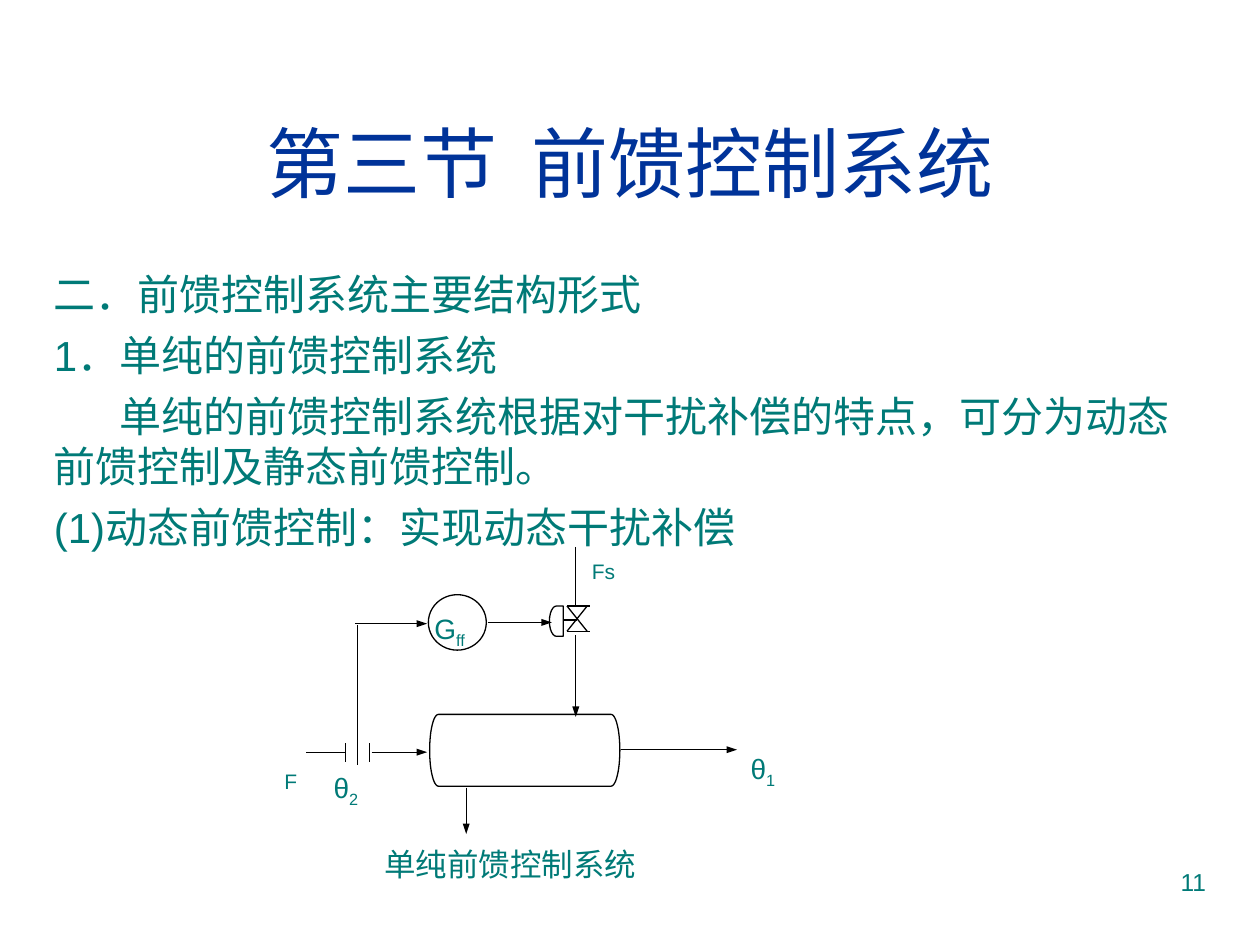
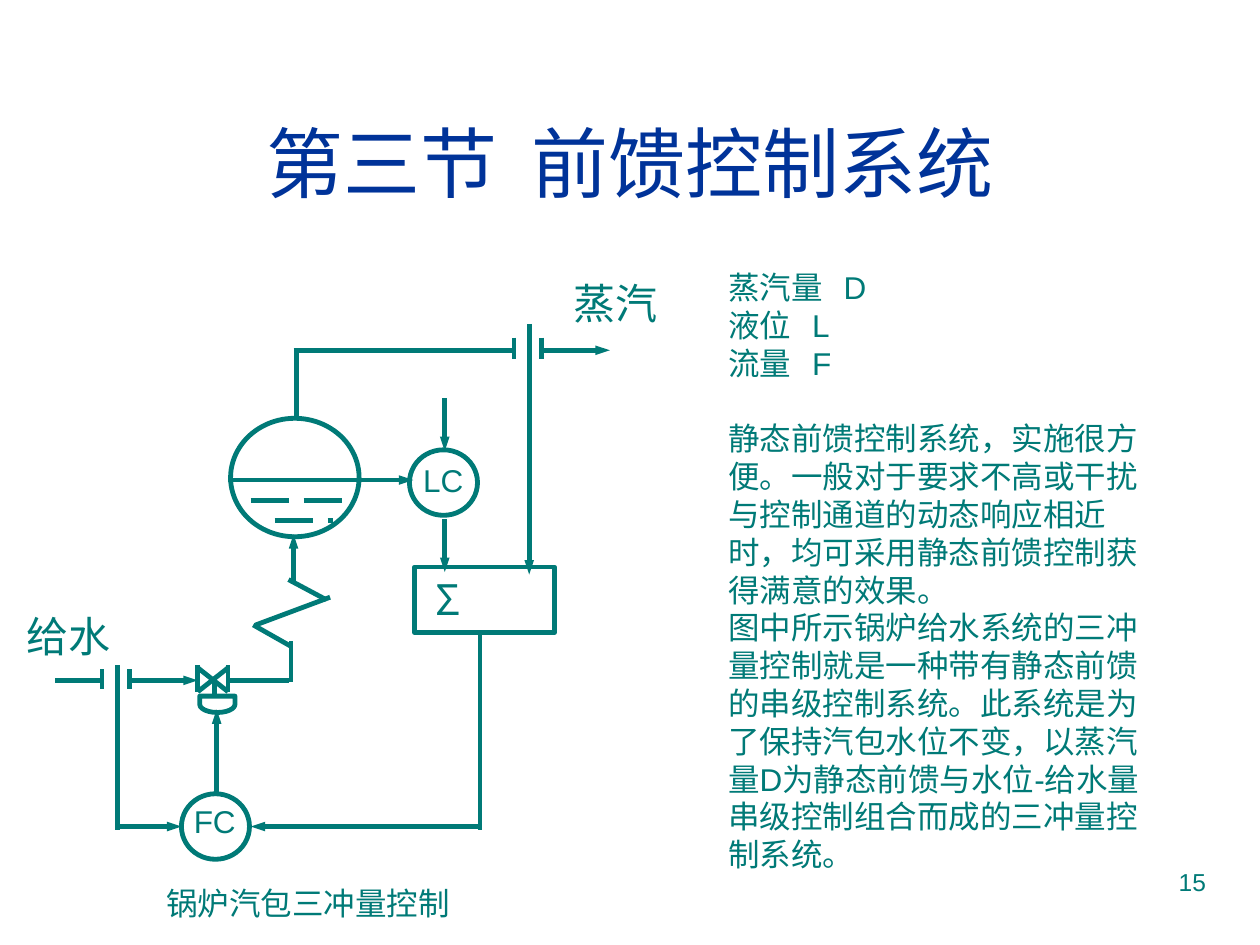
from dataclasses import dataclass
from math import cos, pi, sin
from typing import NamedTuple

from lxml import etree
from pptx import Presentation
from pptx.dml.color import RGBColor
from pptx.enum.dml import MSO_LINE
from pptx.enum.shapes import MSO_CONNECTOR, MSO_SHAPE
from pptx.enum.text import MSO_ANCHOR, PP_ALIGN
from pptx.oxml.ns import qn
from pptx.util import Inches, Pt

LEFT, CENTER, RIGHT = PP_ALIGN.LEFT, PP_ALIGN.CENTER, PP_ALIGN.RIGHT
TOP, MIDDLE = MSO_ANCHOR.TOP, MSO_ANCHOR.MIDDLE
STRAIGHT = MSO_CONNECTOR.STRAIGHT
ELLIPSE, DELAY, RECT = MSO_SHAPE.OVAL, MSO_SHAPE.FLOWCHART_DELAY, MSO_SHAPE.RECTANGLE
LONG_DASH = MSO_LINE.LONG_DASH

TEAL, NAVY, BLACK, WHITE = "007A77", "003399", "000000", "FFFFFF"
FONT, SYMBOL_FONT = "Arial", "Noto Sans CJK SC"
LINE_HEIGHT = 1.2


class Run(NamedTuple):
    text: str
    sub: bool = False
    spread: float = 0  # extra character spacing in points


class Para(NamedTuple):
    runs: list[Run]
    before: float = 0
    indent: float = 0


@dataclass
class Label:
    x: float
    y: float
    w: float
    h: float
    paras: list[Para]
    size: float = 18
    color: str = TEAL
    align: int = LEFT
    anchor: int = TOP


class Line(NamedTuple):
    x1: float
    y1: float
    x2: float
    y2: float
    arrow: bool = False
    dashed: bool = False


@dataclass
class Node:
    kind: int
    x: float
    y: float
    w: float
    h: float
    rotation: float = 0
    fill: str | None = None


class Pen(NamedTuple):
    color: str
    width: float


THIN, THICK = Pen(BLACK, 0.75), Pen(TEAL, 2.75)


def rgb(value: str) -> RGBColor:
    return RGBColor.from_string(value)


def plain(text: str, before: float = 0, indent: float = 0) -> Para:
    return Para([Run(text)], before, indent)


def spaced(left: str, right: str) -> Para:
    return Para([Run(left), Run(" ", spread=7), Run(right)])


def tag(x: float, y: float, text: str, size: float = 18, sub: str = "", w: float = 0.8) -> Label:
    runs = [Run(text)] + ([Run(sub, True)] if sub else [])
    return Label(x, y, w, 0.4, [Para(runs)], size)


# Text
def write(tf, paras: list[Para], size: float, color: str, align: int = LEFT, font: str = FONT) -> None:
    for i, para in enumerate(paras):
        p = tf.paragraphs[0] if i == 0 else tf.add_paragraph()
        p.alignment = align
        p.line_spacing = Pt(round(size * LINE_HEIGHT, 1))
        pPr = p._p.get_or_add_pPr()
        pPr.set("hangingPunct", "0")
        if para.before:
            p.space_before = Pt(para.before)
        if para.indent:
            pPr.set("indent", str(Inches(para.indent)))
        for run in para.runs:
            r = p.add_run()
            r.text = run.text
            r.font.size = Pt(size)
            r.font.name = font
            r.font.color.rgb = rgb(color)
            rPr = r._r.get_or_add_rPr()
            etree.SubElement(rPr, qn("a:ea")).set("typeface", font)
            if run.sub:
                rPr.set("baseline", "-25000")
            if run.spread:
                rPr.set("spc", str(int(run.spread * 100)))


def add_label(s, label: Label) -> None:
    sp = s.shapes.add_textbox(*map(Inches, (label.x, label.y, label.w, label.h)))
    tf = sp.text_frame
    tf.word_wrap = True
    tf.vertical_anchor = label.anchor
    write(tf, label.paras, label.size, label.color, label.align)


# Drawing
def style(sp, pen: Pen, fill: str | None = None) -> None:
    sp.shadow.inherit = False
    if fill:
        sp.fill.solid()
        sp.fill.fore_color.rgb = rgb(fill)
    else:
        sp.fill.background()
    sp.line.color.rgb = rgb(pen.color)
    sp.line.width = Pt(pen.width)


def add_node(s, node: Node, pen: Pen):
    sp = s.shapes.add_shape(node.kind, *map(Inches, (node.x, node.y, node.w, node.h)))
    sp.rotation = node.rotation
    style(sp, pen, node.fill)
    return sp


def add_line(s, line: Line, pen: Pen) -> None:
    c = s.shapes.add_connector(STRAIGHT, *map(Inches, line[:4]))
    c.line.color.rgb = rgb(pen.color)
    c.line.width = Pt(pen.width)
    if line.dashed:
        c.line.dash_style = LONG_DASH
    if line.arrow:
        head = etree.SubElement(c.line._get_or_add_ln(), qn("a:tailEnd"))
        head.set("type", "triangle")
        head.set("w", "sm")
    etree.SubElement(c._element.spPr, qn("a:effectLst"))


def add_vessel(s, left: float, top: float, w: float, h: float, bulge: float, pen: Pen) -> None:
    """Closed outline: straight top and bottom, half-elliptic ends."""
    steps, mid = 24, top + h / 2
    points = []
    for center, start in ((left + w - bulge, -pi / 2), (left + bulge, pi / 2)):
        for i in range(steps + 1):
            angle = start + pi * i / steps
            points.append((Inches(center + bulge * cos(angle)), Inches(mid + h / 2 * sin(angle))))
    builder = s.shapes.build_freeform(*points[0], scale=1.0)
    builder.add_line_segments(points[1:], close=True)
    style(builder.convert_to_shape(), pen)


def orifice(x1: float, x2: float, top: float, bottom: float) -> list[Line]:
    return [Line(x, top, x, bottom) for x in (x1, x2)]


def valve_cross(x1: float, y1: float, x2: float, y2: float) -> list[Line]:
    return [Line(x1, y1, x2, y2), Line(x1, y2, x2, y1)]


def add_diagram(s, nodes: list[Node], lines: list[Line], labels: list[Label], pen: Pen) -> None:
    for node in nodes:
        add_node(s, node, pen)
    for line in lines:
        add_line(s, line, pen)
    for label in labels:
        add_label(s, label)


# Slide frame: title and page number
def new_slide(prs, number: int):
    s = prs.slides.add_slide(prs.slide_layouts[6])
    add_label(s, Label(7.17, 6.83, 2.5, 0.52, [plain(str(number))], 14, align=RIGHT))
    add_label(s, Label(0.33, 0.66, 9.34, 1.25, [spaced("第三节", "前馈控制系统")],
                       44, NAVY, CENTER, MIDDLE))
    return s


def feedforward_slide(prs) -> None:
    s = new_slide(prs, 11)
    add_label(s, Label(0.33, 2.08, 9.34, 2.4, [
        plain("二．前馈控制系统主要结构形式"),
        plain("1．单纯的前馈控制系统", 6),
        plain("单纯的前馈控制系统根据对干扰补偿的特点，可分为动态前馈控制及静态前馈控制。", 6, 0.52),
        plain("(1)动态前馈控制：实现动态干扰补偿", 6),
    ], 24))

    add_vessel(s, 3.41, 5.67, 1.51, 0.57, 0.07, THIN)
    nodes = [
        Node(DELAY, 4.36, 4.81, 0.11, 0.24, 180, WHITE),
        Node(ELLIPSE, 3.4, 4.72, 0.46, 0.44, fill=WHITE),
    ]
    lines = [
        # Steam through the control valve
        Line(4.57, 4.34, 4.57, 4.81),
        Line(4.5, 4.81, 4.68, 4.81),
        Line(4.5, 5.01, 4.68, 5.01),
        *valve_cross(4.5, 4.81, 4.66, 5.01),
        Line(4.47, 4.92, 4.58, 4.92),
        Line(4.57, 5.04, 4.57, 5.69, True),
        # Feed, its measurement and the feedforward path
        Line(2.43, 5.97, 2.74, 5.97),
        *orifice(2.74, 2.93, 5.9, 6.05),
        Line(2.95, 5.97, 3.39, 5.97, True),
        Line(2.84, 6.07, 2.84, 4.96),
        Line(2.82, 4.95, 3.39, 4.95, True),
        Line(3.87, 4.94, 4.38, 4.94, True),
        # Outlets
        Line(4.93, 5.95, 5.85, 5.95, True),
        Line(3.7, 6.25, 3.7, 6.62, True),
    ]
    labels = [
        tag(4.6, 4.38, "Fs", 12),
        tag(3.35, 4.84, "G", 16, "ff"),
        tag(2.16, 6.05, "F", 12),
        tag(2.55, 6.1, "θ", 16, "2"),
        tag(5.86, 5.95, "θ", 16, "1"),
        tag(2.95, 6.66, "单纯前馈控制系统", w=2.36),
    ]
    add_diagram(s, nodes, lines, labels, THIN)


def boiler_slide(prs) -> None:
    s = new_slide(prs, 15)
    add_label(s, Label(5.68, 2.08, 3.62, 4.9, [
        spaced("蒸汽量", "D"),
        spaced("液位", "L"),
        spaced("流量", "F"),
        plain("静态前馈控制系统，实施很方便。一般对于要求不高或干扰与控制通道的动态响应相近时，"
              "均可采用静态前馈控制获得满意的效果。", 21.6),
        plain("图中所示锅炉给水系统的三冲量控制就是一种带有静态前馈的串级控制系统。"
              "此系统是为了保持汽包水位不变，以蒸汽量D为静态前馈与水位-给水量串级控制"
              "组合而成的三冲量控制系统。"),
    ]))

    summer = add_node(s, Node(RECT, 3.29, 4.5, 1.11, 0.52), THICK)
    tf = summer.text_frame
    tf.vertical_anchor = TOP
    tf.margin_left = Inches(0.17)
    write(tf, [plain("Σ")], 24, TEAL, font=SYMBOL_FONT)

    nodes = [
        Node(ELLIPSE, 1.83, 3.32, 1.02, 0.94),
        Node(ELLIPSE, 3.25, 3.57, 0.54, 0.52),
        Node(ELLIPSE, 1.44, 6.3, 0.54, 0.52),
        Node(DELAY, 1.66, 5.45, 0.13, 0.28, 90, WHITE),
    ]
    lines = [
        # Steam outlet and its flow measurement
        Line(2.35, 3.32, 2.35, 2.77),
        Line(2.33, 2.78, 4.06, 2.78),
        *orifice(4.08, 4.3, 2.68, 2.85),
        Line(4.32, 2.78, 4.84, 2.78, True),
        Line(4.2, 2.57, 4.2, 4.56, True),
        # Drum water and level control
        Line(1.99, 3.97, 2.81, 3.97, dashed=True),
        Line(2.18, 4.13, 2.64, 4.13, dashed=True),
        Line(2.86, 3.81, 3.28, 3.81, True),
        Line(3.53, 3.16, 3.53, 3.58, True),
        Line(3.53, 4.12, 3.53, 4.54, True),
        # Summer output to flow control
        Line(3.81, 5, 3.81, 6.59),
        Line(3.8, 6.56, 1.99, 6.56, True),
        Line(1.72, 6.31, 1.72, 5.63, True),
        # Feed water, its measurement and the valve
        Line(0.44, 5.4, 0.81, 5.4),
        *orifice(0.81, 1.03, 5.31, 5.47),
        Line(0.93, 5.28, 0.93, 6.59),
        Line(0.92, 6.56, 1.44, 6.56, True),
        Line(1.05, 5.4, 1.57, 5.4, True),
        *orifice(1.57, 1.81, 5.28, 5.49),
        *valve_cross(1.57, 5.3, 1.81, 5.49),
        Line(1.7, 5.39, 1.7, 5.52),
        # Heating coil up to the drum
        Line(1.81, 5.4, 2.29, 5.4),
        Line(2.31, 5.41, 2.31, 5.09),
        Line(2.31, 5.13, 2.01, 4.96),
        Line(2.03, 4.96, 2.62, 4.74),
        Line(2.59, 4.76, 2.29, 4.6),
        Line(2.33, 4.63, 2.33, 4.24, True),
    ]
    labels = [
        tag(1.44, 6.32, "FC"),
        tag(3.26, 3.61, "LC"),
        tag(0.11, 4.8, "给水", 24, w=1),
        tag(4.45, 2.15, "蒸汽", 24, w=1),
        tag(1.22, 6.97, "锅炉汽包三冲量控制", w=2.6),
    ]
    add_line(s, Line(1.81, 3.81, 2.86, 3.81), Pen(TEAL, 2.25))
    add_diagram(s, nodes, lines, labels, THICK)


def main() -> None:
    prs = Presentation()
    prs.slide_width, prs.slide_height = Inches(10), Inches(7.5)
    feedforward_slide(prs)
    boiler_slide(prs)
    prs.save("out.pptx")


if __name__ == "__main__":
    main()
